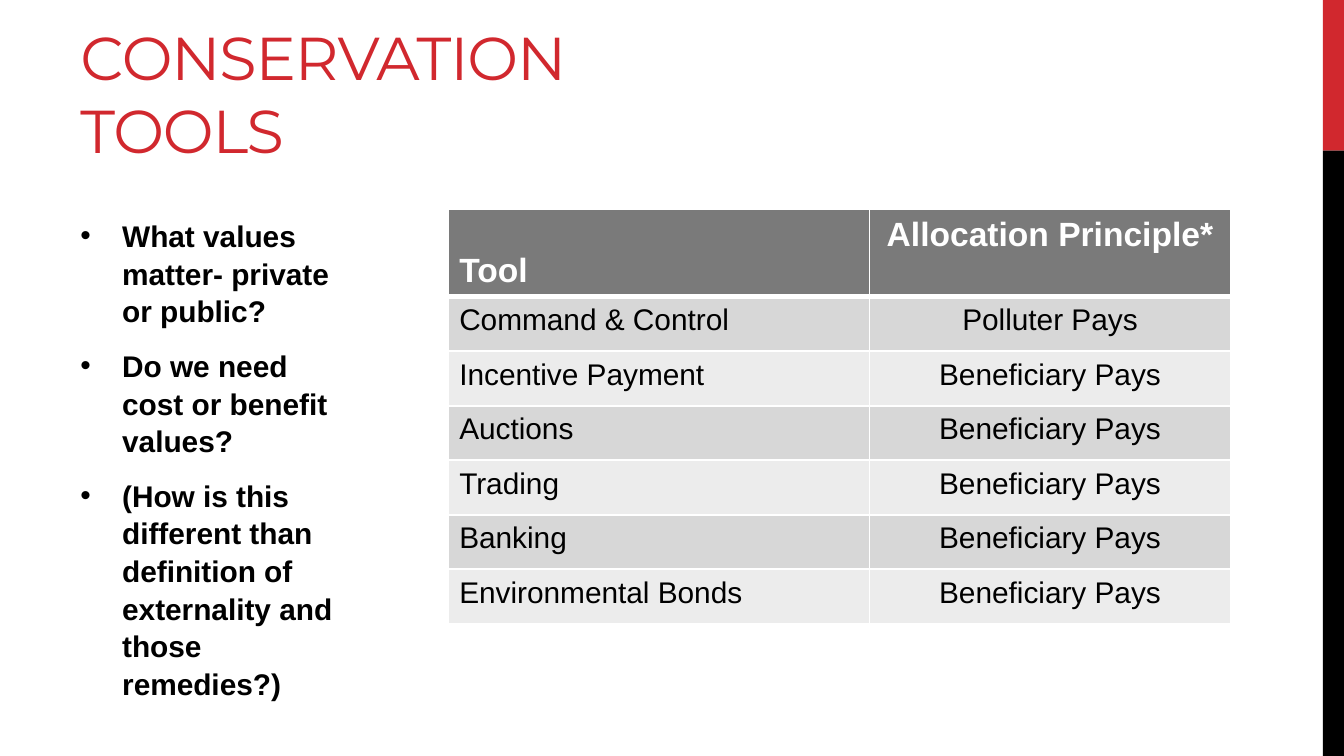
from lxml import etree
from pptx import Presentation
from pptx import util as u
from pptx.dml.color import RGBColor
from pptx.enum import shapes, text
from pptx.oxml import ns

RED, BLACK, WHITE, GREY = "D1282E", "000000", "FFFFFF", "7A7A7A"
BANDS = ["D7D7D7", "ECECEC"]


def paint(target, colour):
    """Give a fill a solid colour."""
    target.solid()
    target.fore_color.rgb = RGBColor.from_string(colour)


def write(para, words, colour, **font):
    """Add one run to a paragraph, with the given font values."""
    span = para.add_run()
    span.text = words
    for name, value in font.items():
        setattr(span.font, name, value)
    paint(span.font.fill, colour)
    return span


deck = Presentation()
deck.slide_width, deck.slide_height = u.Cm(25.4), u.Cm(14.29)
page = deck.slides.add_slide(deck.slide_layouts[6])

# Side bar
for top, height, colour in [(0, 2.85, RED), (2.85, 11.44, BLACK)]:
    bar = page.shapes.add_shape(shapes.MSO_SHAPE.RECTANGLE,
                                u.Cm(25), u.Cm(top), u.Cm(0.4), u.Cm(height))
    bar.shadow.inherit = False
    paint(bar.fill, colour)
    bar.line.fill.background()

# Title
title = page.shapes.add_textbox(u.Cm(1.27), u.Cm(0.33), u.Cm(13.34), u.Cm(2.85)).text_frame
title_format = {"word_wrap": True, "vertical_anchor": text.MSO_ANCHOR.BOTTOM,
                "margin_bottom": u.Cm(0.05)}
for name, value in title_format.items():
    setattr(title, name, value)
span = write(title.paragraphs[0], "CONSERVATION TOOLS", RED,
             name="Montserrat", size=u.Pt(32.4))
span._r.get_or_add_rPr().set("spc", "-60")

# Questions
questions = [
    "What values matter- private or public?",
    "Do we need cost or benefit values?",
    "(How is this different than definition of externality and those remedies?)",
]
box = page.shapes.add_textbox(u.Cm(1.27), u.Cm(3.96), u.Cm(5.66), u.Cm(8.71)).text_frame
box.word_wrap = True
for index, question in enumerate(questions):
    para = box.paragraphs[0] if index == 0 else box.add_paragraph()
    para_format = {"space_before": u.Pt(3.2 if index else 0),
                   "space_after": u.Pt(6), "line_spacing": 1.05}
    for name, value in para_format.items():
        setattr(para, name, value)
    properties = para._p.get_or_add_pPr()
    properties.set("marL", str(u.Cm(0.79)))
    properties.set("indent", str(-u.Cm(0.79)))
    etree.SubElement(properties, ns.qn("a:buFont"), typeface="Arial")
    etree.SubElement(properties, ns.qn("a:buChar"), char="•")
    write(para, question, BLACK, name="Arial", size=u.Pt(16), bold=True)

# Table of tools
rows = [
    ("Tool", "Allocation Principle*"),
    ("Command & Control", "Polluter Pays"),
    ("Incentive Payment", "Beneficiary Pays"),
    ("Auctions", "Beneficiary Pays"),
    ("Trading", "Beneficiary Pays"),
    ("Banking", "Beneficiary Pays"),
    ("Environmental Bonds", "Beneficiary Pays"),
]
table = page.shapes.add_table(len(rows), 2, u.Cm(8.48), u.Cm(3.96),
                              u.Cm(14.78), u.Cm(7.83)).table
for column, width in zip(table.columns, [7.95, 6.83]):
    column.width = u.Cm(width)
for r, row in enumerate(rows):
    header = r == 0
    table.rows[r].height = u.Cm(1.65 if header else 1.03)
    for c, words in enumerate(row):
        cell = table.cell(r, c)
        low = header and c == 0
        cell_format = {
            "margin_left": u.Cm(0.2), "margin_right": u.Cm(0.2),
            "margin_top": u.Cm(0.13), "margin_bottom": u.Cm(0.13),
            "vertical_anchor": text.MSO_ANCHOR.BOTTOM if low else text.MSO_ANCHOR.TOP,
        }
        for name, value in cell_format.items():
            setattr(cell, name, value)
        for side in "LRTB":
            thick = (header and side == "B") or (r == 1 and side == "T")
            line = etree.SubElement(cell._tc.get_or_add_tcPr(), ns.qn(f"a:ln{side}"),
                                    w=str(u.Pt(3 if thick else 1)))
            fill = etree.SubElement(line, ns.qn("a:solidFill"))
            etree.SubElement(fill, ns.qn("a:srgbClr"), val=WHITE)
        paint(cell.fill, GREY if header else BANDS[(r - 1) % 2])
        para = cell.text_frame.paragraphs[0]
        para.alignment = text.PP_ALIGN.CENTER if c else text.PP_ALIGN.LEFT
        write(para, words, WHITE if header else BLACK, name="Arial",
              size=u.Pt(18 if header else 16), bold=header)

deck.save("out.pptx")
